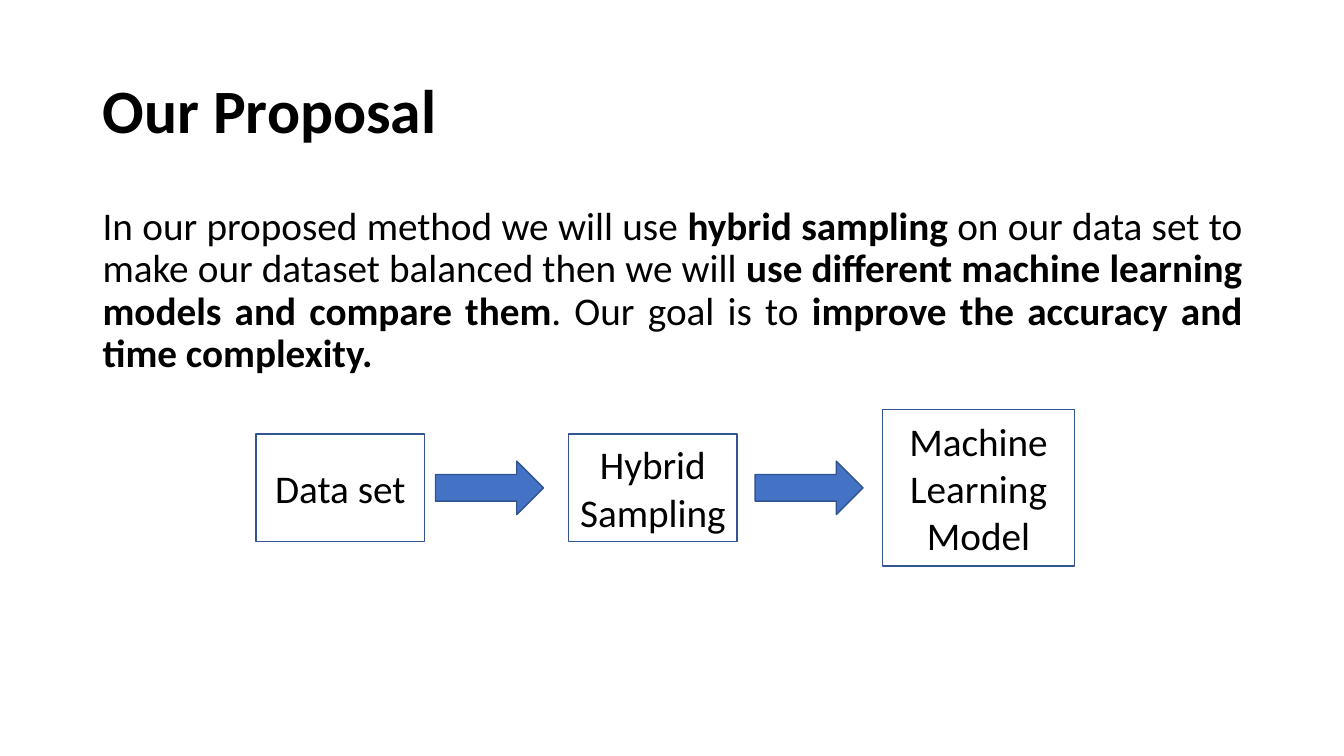
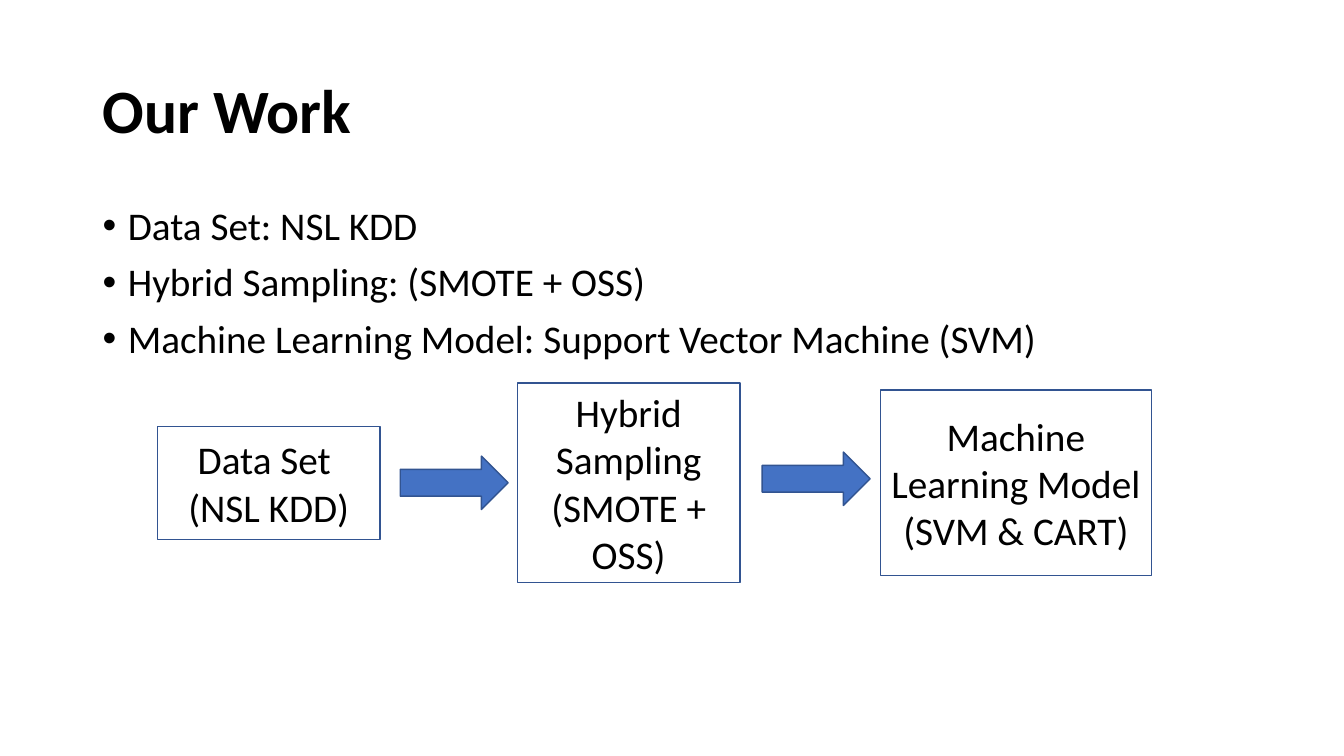
from pptx import Presentation
from pptx.dml.color import RGBColor
from pptx.enum import shapes, text
from pptx.oxml.xmlchemy import OxmlElement
from pptx.util import Inches, Pt

FONT = "Calibri"
BLACK, WHITE, BLUE, OUTLINE = "000000", "FFFFFF", "4472C4", "325491"
TITLE_BOX = (0.92, 0.4, 11.5, 1.45)
BODY_BOX = (0.92, 2, 11.5, 4.76)
ARROW_WIDTH, ARROW_HEIGHT = 1.07, 0.53
BODY_SIZE = 28


def color(hex_string):
    return RGBColor.from_string(hex_string)


def add_run(paragraph, words, size=BODY_SIZE, bold=False):
    run = paragraph.add_run()
    run.text = words
    run.font.name = FONT
    run.font.size = Pt(size)
    run.font.bold = bold
    run.font.color.rgb = color(BLACK)


def next_paragraph(frame, index):
    return frame.add_paragraph() if index else frame.paragraphs[0]


def add_text_frame(slide, box, anchor):
    frame = slide.shapes.add_textbox(*map(Inches, box)).text_frame
    frame.word_wrap = True
    frame.vertical_anchor = anchor
    return frame


def add_title(slide, words):
    frame = add_text_frame(slide, TITLE_BOX, text.MSO_ANCHOR.MIDDLE)
    paragraph = frame.paragraphs[0]
    paragraph.line_spacing = 0.9
    add_run(paragraph, words, 44, True)


def add_bullet(paragraph):
    properties = paragraph._p.get_or_add_pPr()
    properties.set("marL", str(Inches(0.25)))
    properties.set("indent", str(-Inches(0.25)))
    font = OxmlElement("a:buFont")
    font.set("typeface", "Arial")
    bullet = OxmlElement("a:buChar")
    bullet.set("char", "•")
    properties.extend([font, bullet])


def add_body(slide, paragraphs, bulleted=False):
    """Each paragraph is a list of (words, bold) runs."""
    frame = add_text_frame(slide, BODY_BOX, text.MSO_ANCHOR.TOP)
    for index, runs in enumerate(paragraphs):
        paragraph = next_paragraph(frame, index)
        paragraph.line_spacing = 0.9
        paragraph.space_before = Pt(10)
        if bulleted:
            add_bullet(paragraph)
        else:
            paragraph.alignment = text.PP_ALIGN.JUSTIFY
        for words, bold in runs:
            add_run(paragraph, words, bold=bold)


def add_block(slide, kind, left, middle, width, height, fill):
    """Outlined shape centred vertically on middle."""
    box = (left, middle - height / 2, width, height)
    shape = slide.shapes.add_shape(kind, *map(Inches, box))
    shape.shadow.inherit = False
    shape.fill.solid()
    shape.fill.fore_color.rgb = color(fill)
    shape.line.color.rgb = color(OUTLINE)
    shape.line.width = Pt(1)
    return shape


def add_flow(slide, middle, steps, arrows):
    """Steps are (left, width, height, lines); arrows are (left, rise)."""
    for left, width, height, lines in steps:
        shape = add_block(slide, shapes.MSO_SHAPE.RECTANGLE,
                          left, middle, width, height, WHITE)
        frame = shape.text_frame
        frame.word_wrap = True
        frame.vertical_anchor = text.MSO_ANCHOR.MIDDLE
        for index, words in enumerate(lines):
            paragraph = next_paragraph(frame, index)
            paragraph.alignment = text.PP_ALIGN.CENTER
            add_run(paragraph, words)
    for left, rise in arrows:
        add_block(slide, shapes.MSO_SHAPE.RIGHT_ARROW,
                  left, middle - rise, ARROW_WIDTH, ARROW_HEIGHT, BLUE)


def add_slide(presentation, title):
    slide = presentation.slides.add_slide(presentation.slide_layouts[6])
    add_title(slide, title)
    return slide


def build_proposal(presentation):
    slide = add_slide(presentation, "Our Proposal")
    add_body(slide, [[
        ("In our proposed method we will use ", False),
        ("hybrid sampling ", True),
        ("on our data set to make our dataset balanced then we will ", False),
        ("use different machine learning models and compare them", True),
        (". Our goal is to ", False),
        ("improve the accuracy and time complexity.", True),
    ]])
    add_flow(slide, 4.84, [
        (2.54, 1.67, 1.07, ["Data set"]),
        (5.64, 1.67, 1.07, ["Hybrid Sampling"]),
        (8.75, 1.91, 1.55, ["Machine Learning Model"]),
    ], [(4.32, 0), (7.49, 0)])


def build_work(presentation):
    slide = add_slide(presentation, "Our Work")
    bullets = [
        "Data Set: NSL KDD",
        "Hybrid Sampling: (SMOTE + OSS)",
        "Machine Learning Model: Support Vector Machine (SVM)",
    ]
    add_body(slide, [[(words, False)] for words in bullets], bulleted=True)
    add_flow(slide, 4.79, [
        (1.56, 2.21, 1.12, ["Data Set ", "(NSL KDD)"]),
        (5.13, 2.21, 1.98, ["Hybrid Sampling", "(SMOTE + OSS)"]),
        (8.73, 2.69, 1.84, ["Machine Learning Model", "(SVM & CART)"]),
    ], [(3.97, 0), (7.56, 0.04)])


def main():
    presentation = Presentation()
    presentation.slide_width = Inches(13.33)
    presentation.slide_height = Inches(7.5)
    build_proposal(presentation)
    build_work(presentation)
    presentation.save("out.pptx")


if __name__ == "__main__":
    main()
